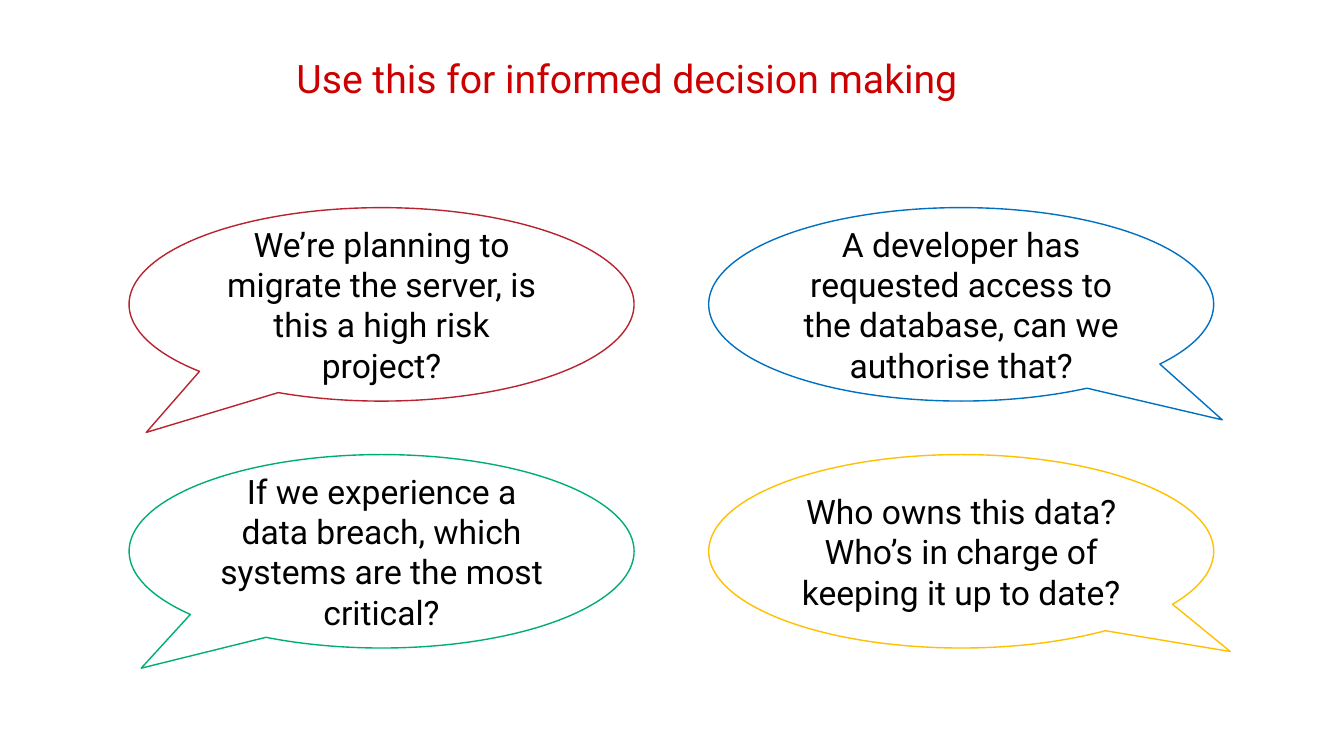
from dataclasses import dataclass

from pptx import Presentation
from pptx.dml.color import RGBColor
from pptx.enum.shapes import MSO_SHAPE
from pptx.enum.text import MSO_ANCHOR, MSO_AUTO_SIZE, PP_ALIGN
from pptx.util import Pt


@dataclass(frozen=True)
class Theme:
    font: str = "Roboto"
    title: str = "CC0000"
    ink: str = "000000"
    red: str = "B8232F"
    blue: str = "0070C0"
    green: str = "00AF6F"
    gold: str = "FFC000"
    head: int = 28
    body: int = 24
    stroke: int = 1


def write(shape, text, *, font, size, color, spacing=None):
    """Fill a shape with one centred paragraph."""
    frame = shape.text_frame
    frame.word_wrap = True
    frame.auto_size = MSO_AUTO_SIZE.NONE
    frame.vertical_anchor = MSO_ANCHOR.MIDDLE
    frame.text = text
    para = frame.paragraphs[0]
    para.alignment = PP_ALIGN.CENTER
    if spacing:
        para.line_spacing = spacing
    para.font.name = font
    para.font.size = Pt(size)
    para.font.color.rgb = RGBColor.from_string(color)


class Painter:
    """Draws themed elements on the current slide."""

    def __init__(self, slide, theme):
        self.slide = slide
        self.theme = theme

    def title(self, text, left, top, width, height):
        shape = self.slide.shapes.title
        shape.left, shape.top = Pt(left), Pt(top)
        shape.width, shape.height = Pt(width), Pt(height)
        write(shape, text, font=self.theme.font, size=self.theme.head,
              color=self.theme.title, spacing=0.9)

    def bubble(self, text, left, top, width, height, color, tail):
        """Draw a speech bubble; tail is its tip as a share of the size."""
        shape = self.slide.shapes.add_shape(
            MSO_SHAPE.OVAL_CALLOUT, Pt(left), Pt(top), Pt(width), Pt(height))
        shape.adjustments[0], shape.adjustments[1] = tail
        shape.shadow.inherit = False
        shape.fill.background()
        shape.line.color.rgb = RGBColor.from_string(color)
        shape.line.width = Pt(self.theme.stroke)
        write(shape, text, font=self.theme.font, size=self.theme.body,
              color=self.theme.ink)


def main():
    deck = Presentation()
    deck.slide_width, deck.slide_height = Pt(960), Pt(540)
    theme = Theme()
    paint = Painter(deck.slides.add_slide(deck.slide_layouts[5]), theme)
    paint.title("Use this for informed decision making", 178.5, 27.4, 538.5, 61.2)

    left, top = 92.2, 148.3
    width, height = 360.7, 138.2
    across, down = 414, 176.4
    bubbles = [
        ("We’re planning to migrate the server, is this a high risk project?",
         theme.red, (-0.466, 0.662)),
        ("A developer has requested access to the database, can we authorise that?",
         theme.blue, (0.517, 0.597)),
        ("If we experience a data breach, which systems are the most critical?",
         theme.green, (-0.476, 0.604)),
        ("Who owns this data? Who’s in charge of keeping it up to date?",
         theme.gold, (0.533, 0.518)),
    ]
    for i, (text, color, tail) in enumerate(bubbles):
        row, col = divmod(i, 2)
        paint.bubble(text, left + col * across, top + row * down,
                     width, height, color, tail)

    deck.save("out.pptx")


if __name__ == "__main__":
    main()
